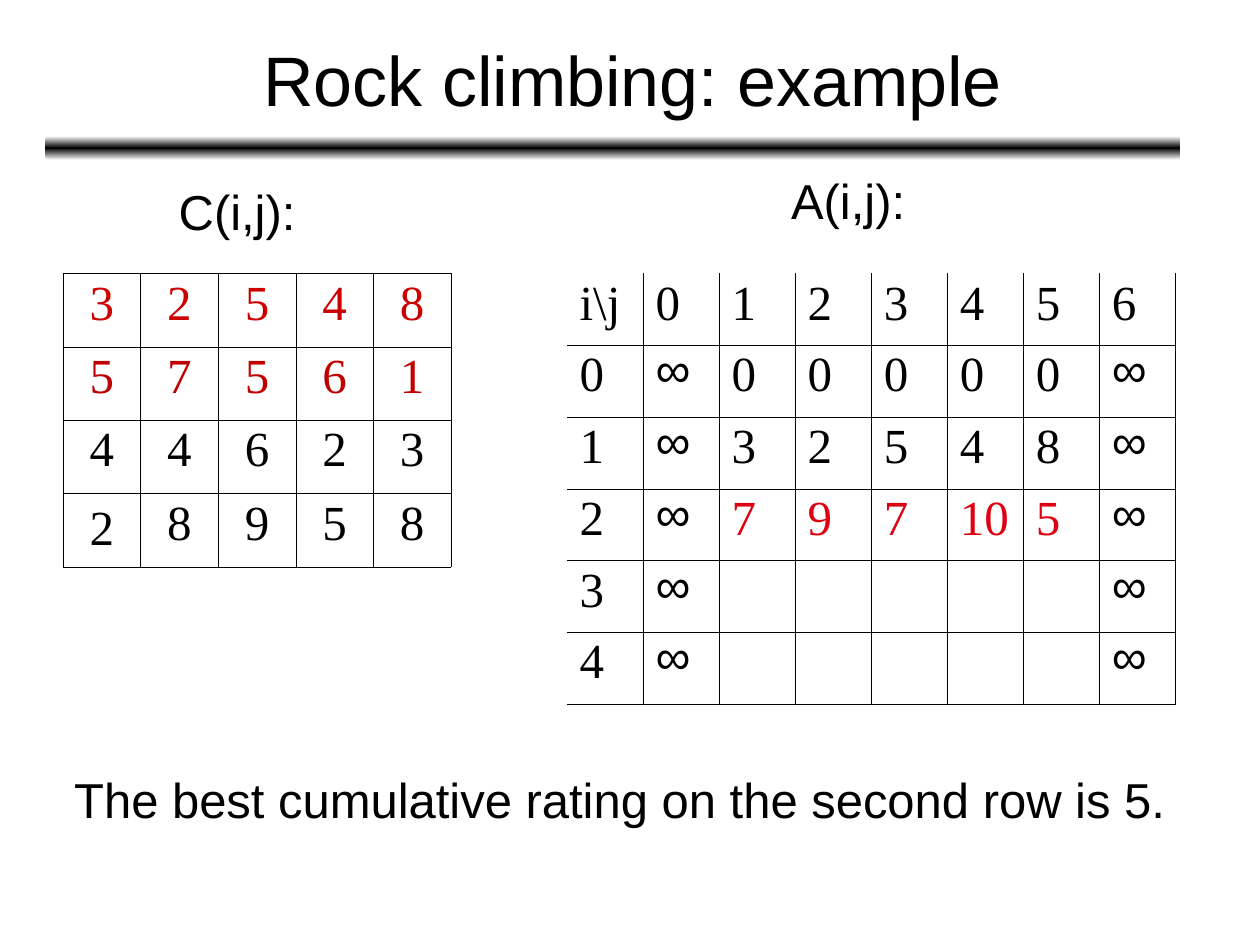
from dataclasses import dataclass

import pptx
import pptx.dml.color
import pptx.enum.shapes
import pptx.enum.text
import pptx.oxml
import pptx.oxml.ns
import pptx.util
from copy import deepcopy
from pptx.util import Inches

ALIGN = pptx.enum.text.PP_ALIGN
ANCHOR = pptx.enum.text.MSO_ANCHOR


@dataclass(frozen=True)
class Theme:
    sans: str = "Arial"
    serif: str = "Times New Roman"
    black: str = "000000"
    white: str = "FFFFFF"
    first_row: str = "CC0000"
    second_row: str = "C00000"
    result: str = "DD0111"
    title_size: int = 40
    body_size: int = 28
    inner_line: float = 0.23
    outer_line: float = 0.5


THEME = Theme()

RATINGS = [
    ["3", "2", "5", "4", "8"],
    ["5", "7", "5", "6", "1"],
    ["4", "4", "6", "2", "3"],
    ["2", "8", "9", "5", "8"],
]
CUMULATIVE = [
    ["i\\j", "0", "1", "2", "3", "4", "5", "6"],
    ["0", "∞", "0", "0", "0", "0", "0", "∞"],
    ["1", "∞", "3", "2", "5", "4", "8", "∞"],
    ["2", "∞", "7", "9", "7", "10", "5", "∞"],
    ["3", "∞", "", "", "", "", "", "∞"],
    ["4", "∞", "", "", "", "", "", "∞"],
]


def rgb(color):
    return pptx.dml.color.RGBColor.from_string(color)


def format_runs(p, font, size, color):
    for r in p.runs:
        r.font.name = font
        r.font.size = pptx.util.Pt(size)
        r.font.color.rgb = rgb(color)


def add_title(s, box, text):
    sp = s.shapes.title
    sp.left, sp.top, sp.width, sp.height = box
    tf = sp.text_frame
    tf.text = text
    tf.vertical_anchor = ANCHOR.MIDDLE
    p = tf.paragraphs[0]
    p.alignment = ALIGN.CENTER
    format_runs(p, THEME.sans, THEME.title_size, THEME.black)


def add_rule(s, box):
    sp = s.shapes.add_shape(pptx.enum.shapes.MSO_SHAPE.ROUNDED_RECTANGLE, *box)
    sp.shadow.inherit = False
    sp.line.fill.background()
    sp.fill.gradient()
    sp.fill.gradient_angle = 90
    stops = sp.fill._fill._gradFill.gsLst
    stops.append(deepcopy(stops[-1]))
    colors = (THEME.white, THEME.black, THEME.white)
    for stop, position, color in zip(sp.fill.gradient_stops, (0, 0.5, 1), colors):
        stop.position = position
        stop.color.rgb = rgb(color)


def add_label(s, box, text):
    tf = s.shapes.add_textbox(*box).text_frame
    tf.word_wrap = False
    tf.auto_size = pptx.enum.text.MSO_AUTO_SIZE.SHAPE_TO_FIT_TEXT
    tf.margin_right = Inches(0.02)
    tf.text = text
    p = tf.paragraphs[0]
    p.alignment = ALIGN.LEFT
    p.line_spacing = 0.9
    format_runs(p, THEME.sans, THEME.body_size, THEME.black)


def set_border(cell, side, width):
    ln = pptx.oxml.parse_xml(
        f'<a:ln{side} {pptx.oxml.ns.nsdecls("a")} w="{pptx.util.Pt(width)}">'
        + (f'<a:solidFill><a:srgbClr val="{THEME.black}"/></a:solidFill>'
           if width else "<a:noFill/>")
        + f"</a:ln{side}>")
    cell._tc.get_or_add_tcPr().append(ln)


def add_grid(s, box, rows, align, colors, open_corner=False):
    n_rows, n_cols = len(rows), len(rows[0])
    table = s.shapes.add_table(n_rows, n_cols, *box).table
    table.first_row = table.horz_banding = False
    for column in table.columns:
        column.width = box[2] // n_cols
    for row in table.rows:
        row.height = box[3] // n_rows
    inner, outer = THEME.inner_line, THEME.outer_line
    start_line = 0 if open_corner else outer
    for i, values in enumerate(rows):
        for j, value in enumerate(values):
            cell = table.cell(i, j)
            set_border(cell, "L", inner if j else start_line)
            set_border(cell, "R", inner if j < n_cols - 1 else outer)
            set_border(cell, "T", inner if i else start_line)
            set_border(cell, "B", inner if i < n_rows - 1 else outer)
            cell.fill.background()
            if not value:
                continue
            cell.text_frame.text = value
            p = cell.text_frame.paragraphs[0]
            p.alignment = align
            infinite = value == "∞"
            p.line_spacing = 0.83 if infinite else 0.93
            font = THEME.sans if infinite else THEME.serif
            plain = infinite or (open_corner and j == 0)
            color = THEME.black if plain else colors.get(i, THEME.black)
            format_runs(p, font, THEME.body_size, color)
    return table


def add_ratings(s, left, top):
    add_label(s, (left + Inches(0.82), top, Inches(1.13), Inches(0.52)), "C(i,j):")
    box = (left, top + Inches(0.73), Inches(3.08), Inches(2.33))
    table = add_grid(s, box, RATINGS, ALIGN.CENTER,
                     {0: THEME.first_row, 1: THEME.second_row})
    table.cell(len(RATINGS) - 1, 0).vertical_anchor = ANCHOR.MIDDLE


def add_cumulative(s, left, top):
    add_label(s, (left + Inches(1.68), top, Inches(1.1), Inches(0.52)), "A(i,j):")
    box = (left, top + Inches(0.81), Inches(4.83), Inches(3.42))
    add_grid(s, box, CUMULATIVE, ALIGN.LEFT, {3: THEME.result}, open_corner=True)


def main():
    prs = pptx.Presentation()
    prs.slide_width, prs.slide_height = Inches(10), Inches(7.5)
    s = prs.slides.add_slide(prs.slide_layouts[5])
    add_rule(s, (Inches(0.36), Inches(1.08), Inches(9.01), Inches(0.19)))
    add_title(s, (Inches(0.77), Inches(0), Inches(8.5), Inches(1.25)),
              "Rock climbing: example")
    add_ratings(s, Inches(0.5), Inches(1.44))
    add_cumulative(s, Inches(4.5), Inches(1.36))
    add_label(s, (Inches(0.49), Inches(6.11), Inches(8.85), Inches(0.52)),
              "The best cumulative rating on the second row is 5.")
    prs.save("out.pptx")


if __name__ == "__main__":
    main()
